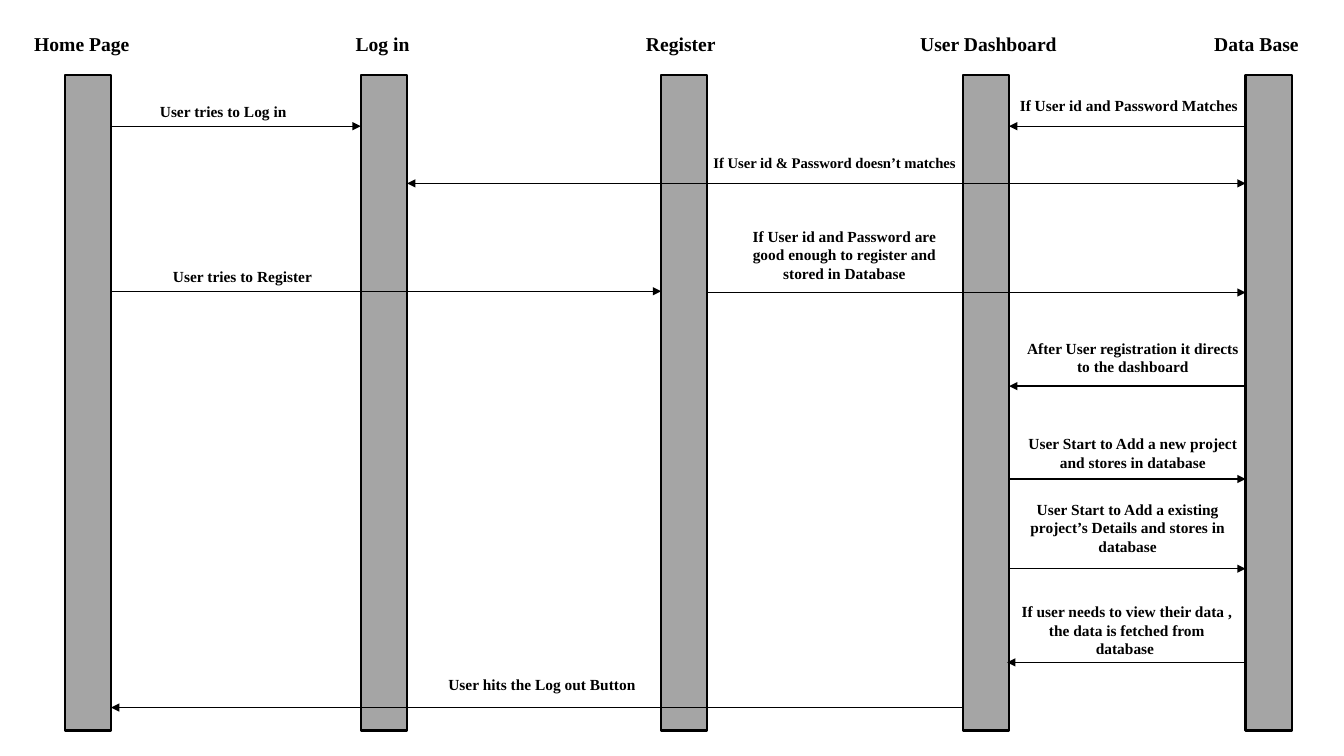
"""Build a sequence diagram slide of log in, register and dashboard steps."""
from dataclasses import dataclass

from lxml import etree
from pptx import Presentation
from pptx.dml.color import RGBColor
from pptx.enum.shapes import MSO_CONNECTOR, MSO_SHAPE
from pptx.enum.text import MSO_AUTO_SIZE, PP_ALIGN
from pptx.oxml.ns import qn
from pptx.util import Cm, Pt

RECT = MSO_SHAPE.RECTANGLE
STRAIGHT = MSO_CONNECTOR.STRAIGHT
GROW = MSO_AUTO_SIZE.SHAPE_TO_FIT_TEXT
LEFT, MID = PP_ALIGN.LEFT, PP_ALIGN.CENTER


@dataclass(frozen=True)
class Theme:
    """Colours, font and sizes of the diagram."""
    ink: RGBColor = RGBColor(0, 0, 0)
    bar: RGBColor = RGBColor(0xA5, 0xA5, 0xA5)
    font: str = "Times New Roman"
    head: float = 14
    note: float = 11
    small: float = 10.5
    edge: float = 1.5
    wire: float = 1


@dataclass(frozen=True)
class Step:
    """One message: its lanes, arrow height and label place in cm."""
    text: str
    start: str
    end: str
    y: float
    left: float
    top: float
    rows: int = 1
    width: float = 5.94
    align: PP_ALIGN = MID
    size: float = Theme.note
    both: bool = False
    shift: float = 0


HOME, LOGIN, REG, DASH, DATA = (
    "Home Page", "Log in", "Register", "User Dashboard", "Data Base")

# name: bar left, label left, label width
LANES = {
    HOME: (1.63, 0.61, 4.34),
    LOGIN: (9.09, 8.71, 2.26),
    REG: (16.66, 16.03, 2.84),
    DASH: (24.26, 22.94, 4.75),
    DATA: (31.39, 30.35, 3.18),
}

STEPS = [
    Step("User tries to Log in", HOME, LOGIN, 3.18, 3.78, 2.44, align=LEFT),
    Step("If User id and Password Matches", DATA, DASH, 3.18, 25.45, 2.31,
         width=6.17, align=LEFT),
    Step("If User id & Password doesn’t matches", LOGIN, DATA, 4.62, 17.73, 3.76,
         width=7.9, align=LEFT, size=Theme.small, both=True),
    Step("User tries to Register", HOME, REG, 7.34, 4.11, 6.6, align=LEFT),
    Step("If User id and Password are good enough to register and stored in Database",
         REG, DATA, 7.37, 18.31, 5.59, rows=3),
    Step("After User registration it directs to the dashboard",
         DATA, DASH, 9.73, 25.58, 8.41, rows=2),
    Step("User Start to Add a new project and stores in database",
         DASH, DATA, 12.07, 25.58, 10.82, rows=2),
    Step("User Start to Add a existing project’s Details and stores in database",
         DASH, DATA, 14.33, 25.45, 12.47, rows=3),
    Step("If user needs to view their data , the data is fetched from database ",
         DATA, DASH, 16.69, 25.43, 15.06, rows=3, shift=-0.05),
    Step("User hits the Log out Button", DASH, HOME, 17.83, 10.69, 16.89),
]

BAR_TOP, BAR_WIDE, BAR_TALL = 1.9, 1.17, 16.51
HEAD_TOP, HEAD_TALL = 0.69, 0.86
ROW, PAD = 0.47, 0.27


def add_bar(slide, theme, left):
    """Draw one lifeline bar."""
    bar = slide.shapes.add_shape(
        RECT, Cm(left), Cm(BAR_TOP), Cm(BAR_WIDE), Cm(BAR_TALL))
    bar.shadow.inherit = False
    bar.fill.solid()
    bar.fill.fore_color.rgb = theme.bar
    bar.line.color.rgb = theme.ink
    bar.line.width = Pt(theme.edge)


def add_label(slide, theme, text, box, size, align=LEFT):
    """Write one bold label in a box given in cm."""
    frame = slide.shapes.add_textbox(*map(Cm, box)).text_frame
    frame.word_wrap = True
    frame.auto_size = GROW
    para = frame.paragraphs[0]
    para.alignment = align
    run = para.add_run()
    run.text = text
    run.font.name = theme.font
    run.font.size = Pt(size)
    run.font.bold = True
    run.font.color.rgb = theme.ink


def add_arrow(slide, theme, step):
    """Join the facing edges of two bars with an arrow."""
    start, end = LANES[step.start][0], LANES[step.end][0]
    if start < end:
        start += BAR_WIDE
    else:
        end += BAR_WIDE
    wire = slide.shapes.add_connector(
        STRAIGHT, Cm(start + step.shift), Cm(step.y), Cm(end + step.shift), Cm(step.y))
    wire.line.color.rgb = theme.ink
    wire.line.width = Pt(theme.wire)
    props = wire.element.spPr
    line = props.find(qn("a:ln"))
    for tag in ("a:headEnd", "a:tailEnd") if step.both else ("a:tailEnd",):
        etree.SubElement(line, qn(tag), type="triangle")
    etree.SubElement(props, qn("a:effectLst"))


def main():
    """Lay out the lanes and steps and save the deck."""
    theme = Theme()
    deck = Presentation()
    deck.slide_width, deck.slide_height = Cm(33.87), Cm(19.05)
    slide = deck.slides.add_slide(deck.slide_layouts.get_by_name("Blank"))
    for name, (bar, left, width) in LANES.items():
        add_bar(slide, theme, bar)
        add_label(slide, theme, name, (left, HEAD_TOP, width, HEAD_TALL), theme.head)
    for step in STEPS:
        add_arrow(slide, theme, step)
        box = (step.left, step.top, step.width, PAD + ROW * step.rows)
        add_label(slide, theme, step.text, box, step.size, step.align)
    deck.save("out.pptx")


if __name__ == "__main__":
    main()
